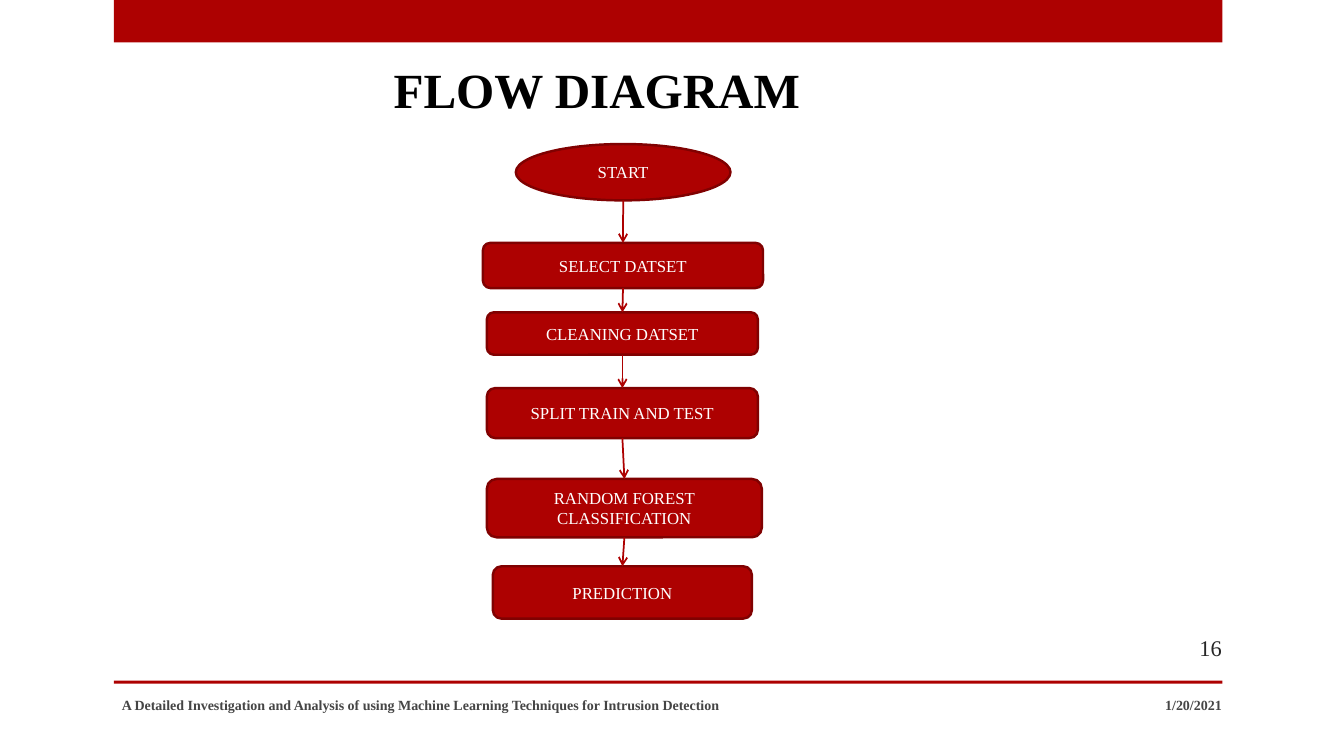
from dataclasses import dataclass
from itertools import pairwise

from lxml.etree import SubElement
from pptx import Presentation
from pptx.dml.color import RGBColor
from pptx.enum.shapes import MSO_CONNECTOR, MSO_SHAPE
from pptx.enum.text import MSO_ANCHOR, MSO_AUTO_SIZE, PP_ALIGN
from pptx.oxml.ns import qn
from pptx.util import Cm, Pt


@dataclass(frozen=True)
class Theme:
    font: str = "Times New Roman"
    red: str = "AD0101"
    dark_red: str = "800101"
    white: str = "FFFFFF"
    black: str = "000000"
    footer_gray: str = "454545"
    number_gray: str = "262626"
    title_size: float = 35.1
    number_size: float = 16
    step_size: float = 12
    footer_size: float = 10
    outline: float = 1.75
    arrow: float = 1.25


class FlowSlide:
    def __init__(self, slide, theme):
        self.slide = slide
        self.shapes = slide.shapes
        self.theme = theme

    def add_text(self, frame, text, size, color, align, bold=False):
        frame.word_wrap = True
        frame.auto_size = MSO_AUTO_SIZE.NONE
        frame.vertical_anchor = MSO_ANCHOR.MIDDLE
        paragraph = frame.paragraphs[0]
        paragraph.alignment = align
        run = paragraph.add_run()
        run.text = text
        run.font.name = self.theme.font
        run.font.size = Pt(size)
        run.font.bold = bold
        run.font.color.rgb = RGBColor.from_string(color)

    def title(self, text, left, top, width, height):
        heading = self.shapes.title
        heading.left, heading.top = Cm(left), Cm(top)
        heading.width, heading.height = Cm(width), Cm(height)
        self.add_text(heading.text_frame, text, self.theme.title_size,
                      self.theme.black, PP_ALIGN.CENTER, bold=True)

    def label(self, text, box, size, color, align, bold=False):
        holder = self.shapes.add_textbox(*map(Cm, box))
        self.add_text(holder.text_frame, text, size, color, align, bold)

    def red_shape(self, kind, box):
        block = self.shapes.add_shape(kind, *map(Cm, box))
        block.shadow.inherit = False
        block.fill.solid()
        block.fill.fore_color.rgb = RGBColor.from_string(self.theme.red)
        return block

    def bar(self, *box):
        self.red_shape(MSO_SHAPE.RECTANGLE, box).line.fill.background()

    def step(self, text, kind, *box):
        block = self.red_shape(kind, box)
        block.line.color.rgb = RGBColor.from_string(self.theme.dark_red)
        block.line.width = Pt(self.theme.outline)
        self.add_text(block.text_frame, text, self.theme.step_size,
                      self.theme.white, PP_ALIGN.CENTER)
        return block

    def arrow(self, upper, lower):
        """Link the bottom of one step to the top of the next."""
        link = self.shapes.add_connector(
            MSO_CONNECTOR.STRAIGHT,
            upper.left + upper.width // 2, upper.top + upper.height,
            lower.left + lower.width // 2, lower.top)
        # Only rectangles number their bottom side 2; an ellipse has eight sites.
        if upper.auto_shape_type != MSO_SHAPE.OVAL:
            link.begin_connect(upper, 2)
        link.end_connect(lower, 0)
        link.line.color.rgb = RGBColor.from_string(self.theme.red)
        link.line.width = Pt(self.theme.arrow)
        properties = link._element.spPr
        SubElement(properties.find(qn("a:ln")), qn("a:tailEnd"), type="arrow")
        SubElement(properties, qn("a:effectLst"))


STEPS = [
    ("START", MSO_SHAPE.OVAL, 13, 3.63, 5.41, 1.42),
    ("SELECT DATSET", MSO_SHAPE.ROUNDED_RECTANGLE, 12.17, 6.12, 7.06, 1.14),
    ("CLEANING DATSET", MSO_SHAPE.ROUNDED_RECTANGLE, 12.27, 7.87, 6.83, 1.07),
    ("SPLIT TRAIN AND TEST", MSO_SHAPE.ROUNDED_RECTANGLE, 12.27, 9.78, 6.83, 1.26),
    ("RANDOM FOREST CLASSIFICATION", MSO_SHAPE.ROUNDED_RECTANGLE,
     12.27, 12.07, 6.93, 1.47),
    ("PREDICTION", MSO_SHAPE.ROUNDED_RECTANGLE, 12.42, 14.27, 6.53, 1.32),
]


def main():
    deck = Presentation()
    deck.slide_width, deck.slide_height = Cm(33.87), Cm(19.05)
    theme = Theme()
    page = FlowSlide(deck.slides.add_slide(deck.slide_layouts[5]), theme)

    page.bar(2.87, 0, 27.94, 1.07)
    page.bar(2.87, 17.15, 27.94, 0.08)
    page.title("FLOW DIAGRAM", 1.07, 1.37, 27.94, 1.75)

    steps = [page.step(*step) for step in STEPS]
    for upper, lower in pairwise(steps):
        page.arrow(upper, lower)

    page.label("16", (28.22, 15.8, 2.82, 1.02), theme.number_size,
               theme.number_gray, PP_ALIGN.RIGHT)
    page.label("A Detailed Investigation and Analysis of using Machine Learning "
               "Techniques for Intrusion Detection", (2.82, 17.25, 18.06, 1.02),
               theme.footer_size, theme.footer_gray, PP_ALIGN.LEFT, bold=True)
    page.label("1/20/2021", (23.14, 17.25, 7.9, 1.02), theme.footer_size,
               theme.footer_gray, PP_ALIGN.RIGHT, bold=True)
    deck.save("out.pptx")


if __name__ == "__main__":
    main()
